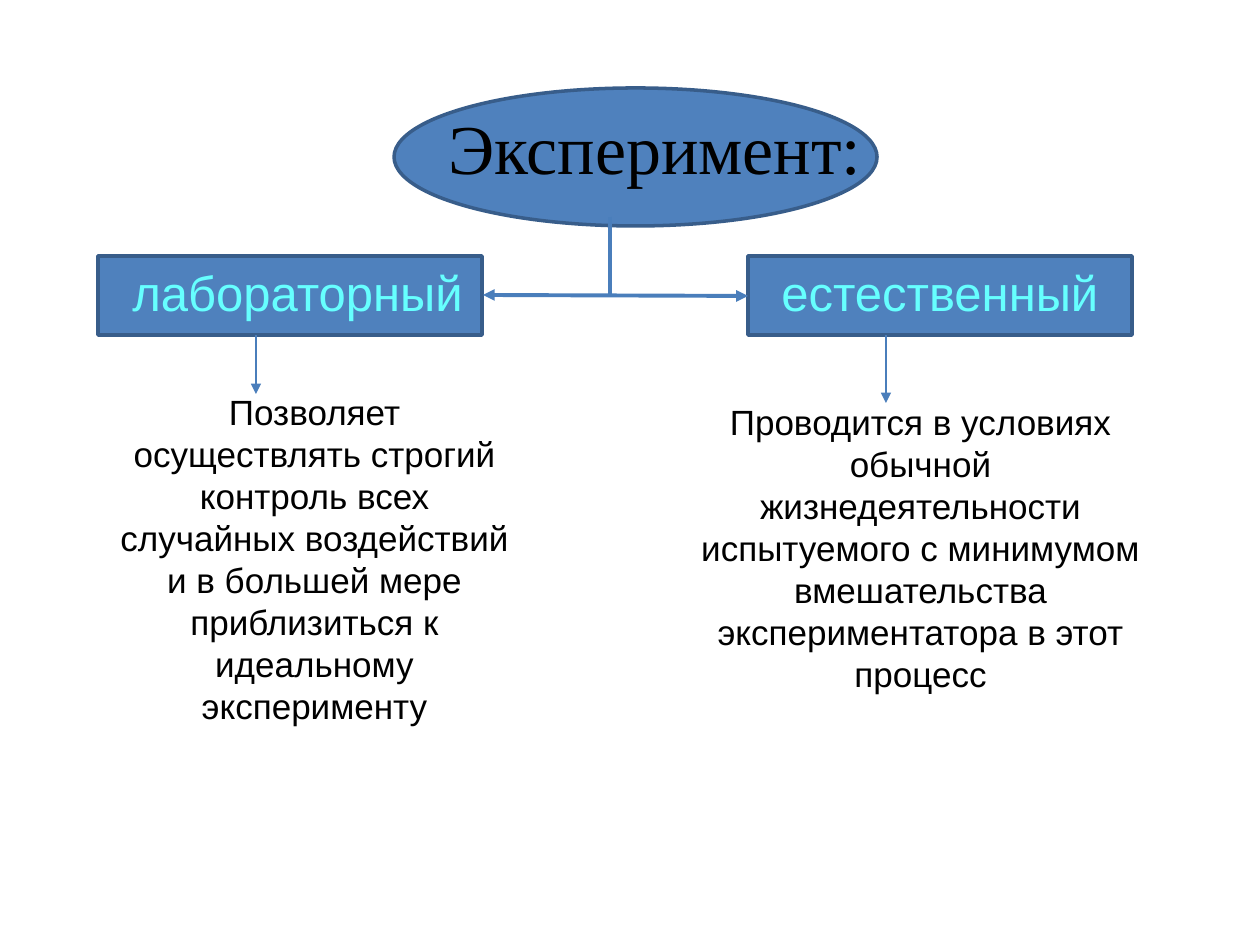
from lxml import etree
from pptx import Presentation
from pptx.dml.color import RGBColor
from pptx.enum.shapes import MSO_CONNECTOR, MSO_SHAPE
from pptx.enum.text import MSO_AUTO_SIZE, PP_ALIGN
from pptx.oxml.ns import qn
from pptx.util import Emu, Pt

RECTANGLE, OVAL = MSO_SHAPE.RECTANGLE, MSO_SHAPE.OVAL
STRAIGHT = MSO_CONNECTOR.STRAIGHT
LEFT, CENTER = PP_ALIGN.LEFT, PP_ALIGN.CENTER
FIT_SHAPE = MSO_AUTO_SIZE.SHAPE_TO_FIT_TEXT

PX = 914400 / 126
THEME = {
    "fill": RGBColor.from_string("4F81BD"),
    "outline": RGBColor.from_string("385D8A"),
    "arrow": RGBColor.from_string("4A7EBB"),
    "text": RGBColor.from_string("000000"),
    "label": RGBColor.from_string("66FFFF"),
    "title_size": 40,
    "label_size": 28,
    "body_size": 20,
    "title_font": "Times New Roman",
    "font": "Arial",
}


def emu(*lengths):
    return [Emu(round(length * PX)) for length in lengths]


deck = Presentation()
deck.slide_width, deck.slide_height = emu(1260, 945)
page = deck.slides.add_slide(deck.slide_layouts[6])

# Filled shapes: two type boxes and the title ellipse
for kind, place in [
    (RECTANGLE, (748, 256, 384, 79)),
    (RECTANGLE, (98, 256, 384, 79)),
    (OVAL, (394, 88, 483, 138)),
]:
    shape = page.shapes.add_shape(kind, *emu(*place))
    shape.shadow.inherit = False
    shape.fill.solid()
    shape.fill.fore_color.rgb = THEME["fill"]
    shape.line.color.rgb = THEME["outline"]
    shape.line.width = Pt(2)

# Texts: title, type labels, descriptions
title_style = ("title_size", "title_font", "text", LEFT, False)
label_style = ("label_size", "font", "label", LEFT, False)
body_style = ("body_size", "font", "text", CENTER, True)
for text, place, style in [
    ("Эксперимент:", (436, 98, 449, 97), title_style),
    ("лабораторный", (120, 256, 370, 72), label_style),
    ("естественный", (769, 256, 357, 72), label_style),
    ("Позволяет осуществлять строгий контроль всех случайных воздействий "
     "и в большей мере приблизиться к идеальному эксперименту",
     (98, 384, 433, 349), body_style),
    ("Проводится в условиях обычной жизнедеятельности испытуемого "
     "с минимумом вмешательства экспериментатора в этот процесс",
     (679, 394, 483, 307), body_style),
]:
    size, font, color, alignment, wrap = style
    box = page.shapes.add_textbox(*emu(*place))
    frame = box.text_frame
    frame.word_wrap = wrap
    frame.auto_size = FIT_SHAPE
    frame.text = text
    para = frame.paragraphs[0]
    para.alignment = alignment
    span = para.runs[0]
    span.font.size = Pt(THEME[size])
    span.font.name = THEME[font]
    span.font.color.rgb = THEME[color]

# Lines: stem, double-headed branch, arrows to the descriptions
for ends, width, heads in [
    ((610, 217, 610, 295), 2.25, []),
    ((483, 295, 748, 296), 2.25, ["headEnd", "tailEnd"]),
    ((256, 335, 256, 394), 0.75, ["tailEnd"]),
    ((886, 335, 886, 403), 0.75, ["tailEnd"]),
]:
    connector = page.shapes.add_connector(STRAIGHT, *emu(*ends))
    connector.line.color.rgb = THEME["arrow"]
    connector.line.width = Pt(width)
    properties = connector.element.spPr
    outline = properties.find(qn("a:ln"))
    for head in heads:
        etree.SubElement(outline, qn(f"a:{head}"), type="triangle")
    etree.SubElement(properties, qn("a:effectLst"))

deck.save("out.pptx")
